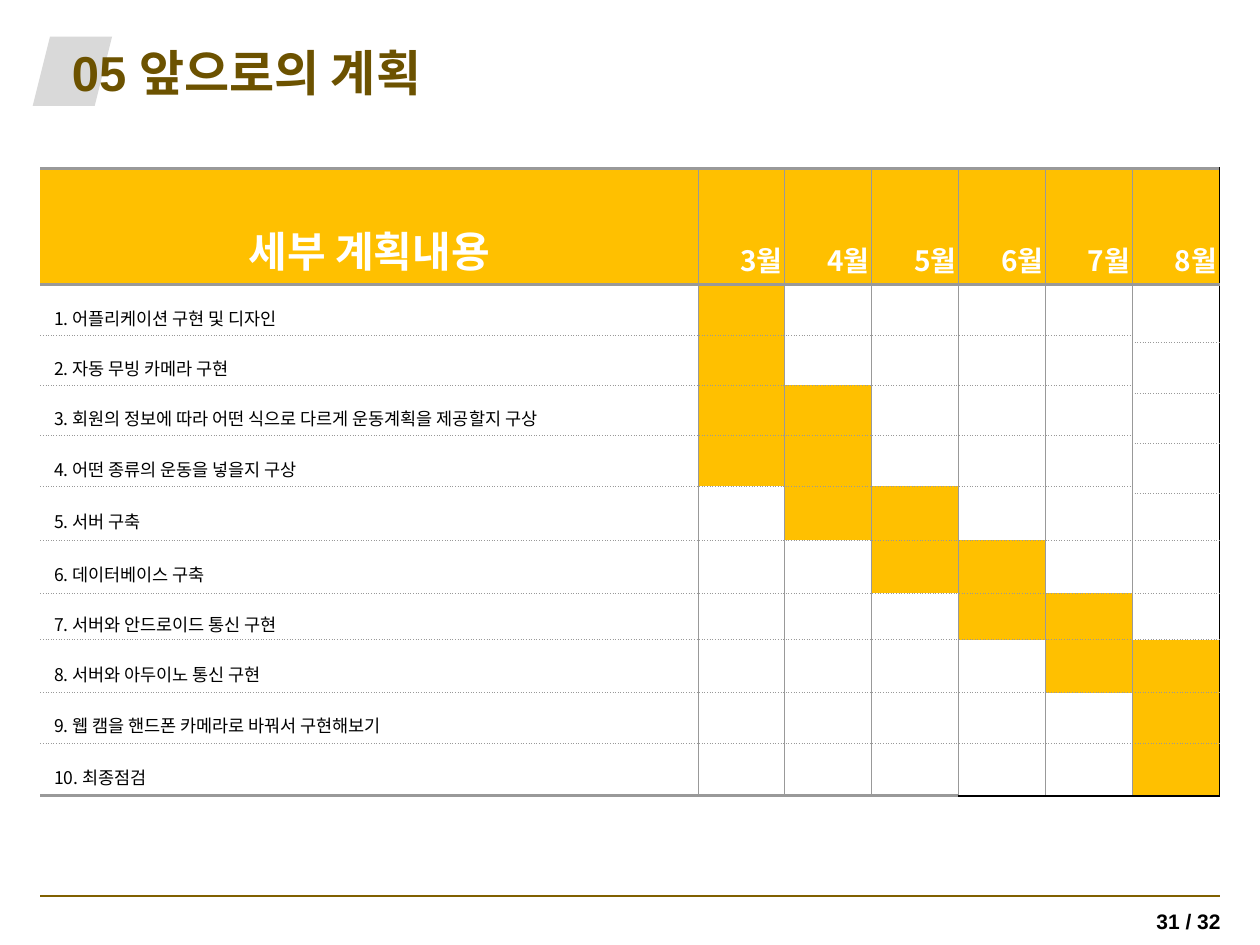
from dataclasses import dataclass
from typing import NamedTuple, Optional

from lxml.etree import SubElement
from pptx import Presentation
from pptx.dml.color import RGBColor
from pptx.enum.shapes import MSO_CONNECTOR as Connector, MSO_SHAPE as Shape
from pptx.enum.text import MSO_ANCHOR as Anchor, MSO_AUTO_SIZE as AutoSize, PP_ALIGN as Align
from pptx.oxml.ns import qn
from pptx.util import Inches, Pt


@dataclass(frozen=True)
class Theme:
    accent: str = "FFC000"
    title: str = "6C5200"
    rule: str = "806000"
    tab: str = "D9D9D9"
    grid: str = "999999"
    white: str = "FFFFFF"
    black: str = "000000"
    title_font: str = "Arial"
    table_font: str = "Noto Sans CJK KR"
    title_size: int = 28
    heading_size: int = 24
    month_size: int = 16
    task_size: int = 10
    page_size: int = 12


class Border(NamedTuple):
    color: str
    width: float
    dash: str = "solid"


class Task(NamedTuple):
    label: str
    first_month: int
    last_month: int


THEME = Theme()
THIN = Border(THEME.grid, 0.56)
DOTTED = Border(THEME.grid, 0.56, "sysDot")
THICK = Border(THEME.grid, 1.98)
EDGE = Border(THEME.black, 1)

MONTHS = range(3, 9)
TASKS = [
    Task("1. 어플리케이션 구현 및 디자인", 3, 3),
    Task("2. 자동 무빙 카메라 구현", 3, 3),
    Task("3. 회원의 정보에 따라 어떤 식으로 다르게 운동계획을 제공할지 구상", 3, 4),
    Task("4. 어떤 종류의 운동을 넣을지 구상", 3, 4),
    Task("5. 서버 구축", 4, 5),
    Task("6. 데이터베이스 구축", 5, 6),
    Task("7. 서버와 안드로이드 통신 구현", 6, 7),
    Task("8. 서버와 아두이노 통신 구현", 7, 8),
    Task("9. 웹 캠을 핸드폰 카메라로 바꿔서 구현해보기", 8, 8),
    Task("10. 최종점검", 8, 8),
]
ROW_HEIGHTS = [0.92, 0.4] + [0.06, 0.34] * 3 + [0.06, 0.37, 0.42, 0.37, 0.42, 0.4, 0.42]
COLUMN_WIDTHS = [5.22] + [0.69] * len(MONTHS)
# First and last table row of each block: tasks 2-5 take two rows,
# and the last month is merged one row out of step with them.
SINGLE_ROWS = [(row, row) for row in range(10, 15)]
TASK_BLOCKS = [(1, 1)] + [(row, row + 1) for row in range(2, 10, 2)] + SINGLE_ROWS
LAST_MONTH_BLOCKS = [(row, row + 1) for row in range(1, 9, 2)] + [(9, 9)] + SINGLE_ROWS


def style_text(frame, size: int, color: str, font: str, bold: bool = True) -> None:
    for para in frame.paragraphs:
        for span in para.runs:
            span.font.size = Pt(size)
            span.font.name = font
            span.font.bold = bold
            span.font.color.rgb = RGBColor.from_string(color)


def set_borders(cell, **borders: Optional[Border]) -> None:
    """Write the cell borders; call before filling the cell."""
    properties = cell._tc.get_or_add_tcPr()
    for side in ("L", "R", "T", "B"):
        border = borders.get(side)
        if border is None:
            continue
        line = SubElement(properties, qn(f"a:ln{side}"), w=str(Pt(border.width)))
        solid = SubElement(line, qn("a:solidFill"))
        SubElement(solid, qn("a:srgbClr"), val=border.color)
        SubElement(line, qn("a:prstDash"), val=border.dash)


def set_margins(cell, margin: float) -> None:
    cell.margin_left = cell.margin_right = Inches(margin)
    cell.margin_top = cell.margin_bottom = Inches(margin)


def fill_cell(cell, color: Optional[str]) -> None:
    if color is None:
        cell.fill.background()
    else:
        cell.fill.solid()
        cell.fill.fore_color.rgb = RGBColor.from_string(color)


def write_cell(cell, text: str, size: int, color: str, align, spacing, bold: bool = True) -> None:
    cell.text_frame.text = text
    set_margins(cell, 0.02)
    cell.vertical_anchor = Anchor.MIDDLE
    para = cell.text_frame.paragraphs[0]
    para.alignment = align
    para.line_spacing = spacing
    style_text(cell.text_frame, size, color, THEME.table_font, bold)


def draw_block(table, column: int, rows: tuple, color: Optional[str]) -> None:
    """Merge, border and fill one block of a body column."""
    first, last = rows
    final_row, final_column = len(ROW_HEIGHTS) - 1, len(COLUMN_WIDTHS) - 1
    bottom = DOTTED
    if last == final_row:
        bottom = EDGE if column > 3 else THICK
    for row in range(first, last + 1):
        cell = table.cell(row, column)
        set_margins(cell, 0)
        # Tiny empty lines let the narrow rows keep their height
        SubElement(cell.text_frame.paragraphs[0]._p, qn("a:endParaRPr"), sz="100")
        top = THICK if first == 1 else DOTTED
        set_borders(
            cell,
            L=THIN if column else None,
            R=EDGE if column == final_column else THIN,
            T=top if row == first else None,
            B=bottom,
        )
        fill_cell(cell, color)
    if last > first:
        table.cell(first, column).merge(table.cell(last, column))


def draw_schedule(page) -> None:
    frame = page.shapes.add_table(
        len(ROW_HEIGHTS), len(COLUMN_WIDTHS), Inches(0.32), Inches(1.34), Inches(9.36), Inches(4.96)
    )
    table = frame.table
    table.first_row = table.horz_banding = False
    style = table._tbl.tblPr.find(qn("a:tableStyleId"))
    style.text = "{2D5ABB26-0587-4C30-8999-92F81FD0307C}"  # no style, no grid
    for row, height in zip(table.rows, ROW_HEIGHTS):
        row.height = Inches(height)
    for column, width in zip(table.columns, COLUMN_WIDTHS):
        column.width = Inches(width)

    # Header row
    for column, text in enumerate(["세부 계획내용"] + [f"{month}월" for month in MONTHS]):
        cell = table.cell(0, column)
        right = EDGE if column == len(MONTHS) else THIN
        set_borders(cell, L=THIN if column else None, R=right, T=THICK, B=THICK)
        fill_cell(cell, THEME.accent)
        size = THEME.month_size if column else THEME.heading_size
        align = Align.RIGHT if column else Align.CENTER
        write_cell(cell, text, size, THEME.white, align, Pt(60))

    # Task labels and month bars
    for index, task in enumerate(TASKS):
        rows = TASK_BLOCKS[index]
        draw_block(table, 0, rows, None)
        label = table.cell(rows[0], 0)
        write_cell(label, task.label, THEME.task_size, THEME.black, Align.JUSTIFY, 1.6, bold=False)
        label.margin_left = Inches(0.11)
        for column, month in enumerate(MONTHS, start=1):
            blocks = LAST_MONTH_BLOCKS if month == MONTHS[-1] else TASK_BLOCKS
            active = task.first_month <= month <= task.last_month
            draw_block(table, column, blocks[index], THEME.accent if active else None)


def draw_title(page) -> None:
    tab = page.shapes.add_shape(
        Shape.PARALLELOGRAM, Inches(0.26), Inches(0.29), Inches(0.63), Inches(0.55)
    )
    tab.shadow.inherit = False
    tab.fill.solid()
    tab.fill.fore_color.rgb = RGBColor.from_string(THEME.tab)
    tab.line.fill.background()

    title = page.shapes.title
    title.left, title.top, title.width, title.height = map(Inches, (0.47, 0.29, 4.83, 0.67))
    frame = title.text_frame
    frame.text = "05 앞으로의 계획"
    frame.auto_size = AutoSize.NONE
    frame.vertical_anchor = Anchor.TOP
    frame.paragraphs[0].alignment = Align.LEFT
    style_text(frame, THEME.title_size, THEME.title, THEME.title_font)
    tab._element.addnext(title._element)  # title in front of its tab


def draw_footer(page) -> None:
    rule = page.shapes.add_connector(
        Connector.STRAIGHT, Inches(0.32), Inches(7.11), Inches(9.68), Inches(7.11)
    )
    rule.line.color.rgb = RGBColor.from_string(THEME.rule)
    rule.line.width = Pt(1.5)
    SubElement(rule._element.spPr, qn("a:effectLst"))

    box = page.shapes.add_textbox(Inches(9.08), Inches(7.16), Inches(0.8), Inches(0.3))
    box.text_frame.text = "31 / 32"
    style_text(box.text_frame, THEME.page_size, THEME.black, THEME.title_font)


def main() -> None:
    deck = Presentation()
    deck.slide_width, deck.slide_height = Inches(10), Inches(7.5)
    page = deck.slides.add_slide(deck.slide_layouts[5])
    draw_title(page)
    draw_schedule(page)
    draw_footer(page)
    deck.save("out.pptx")


if __name__ == "__main__":
    main()
